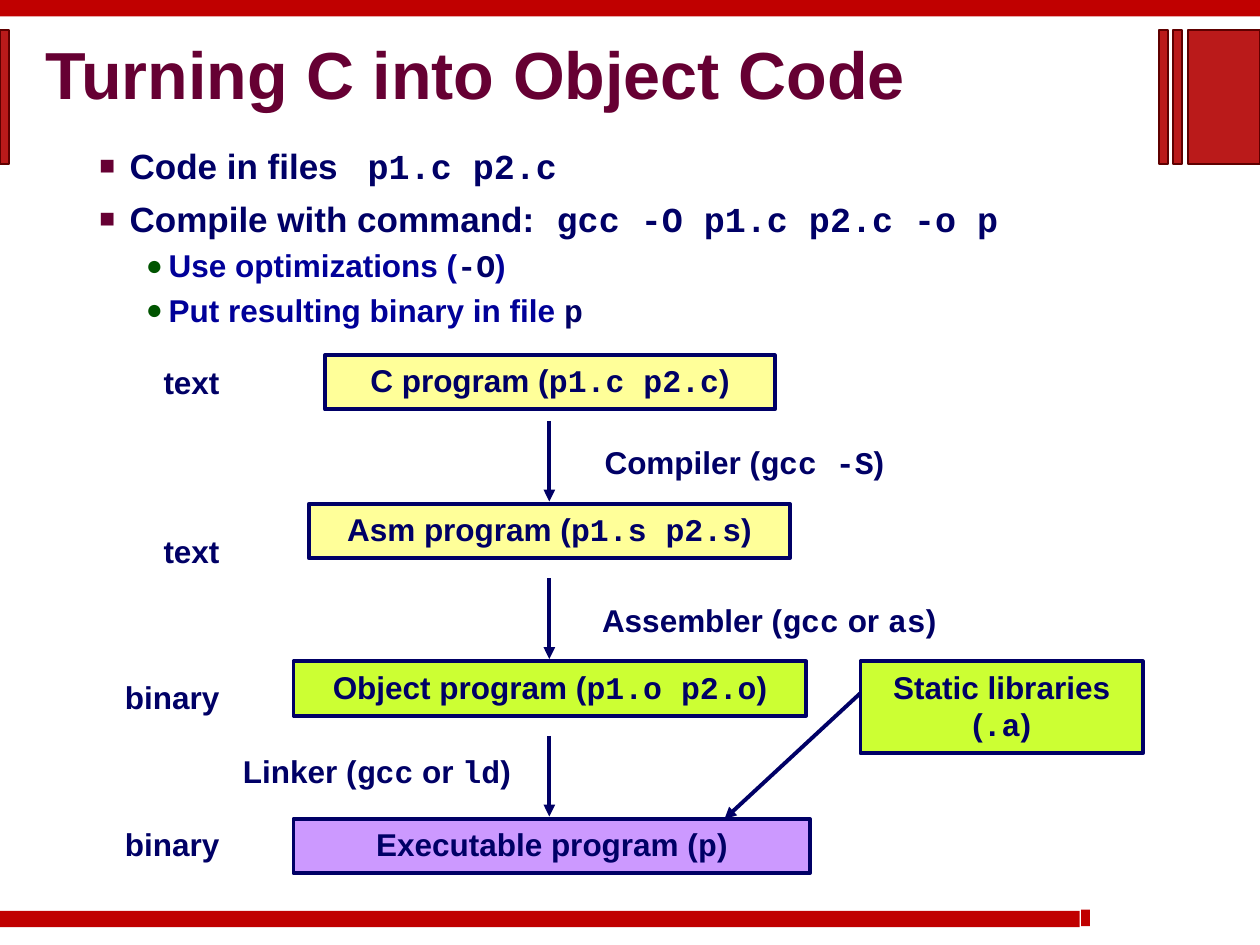
"""Build the slide that shows how C source becomes object code."""
from dataclasses import dataclass
from typing import Optional

from lxml.etree import SubElement
from pptx import Presentation
from pptx.dml.color import RGBColor
from pptx.enum.shapes import MSO_CONNECTOR, MSO_SHAPE
from pptx.enum.text import MSO_ANCHOR, MSO_AUTO_SIZE, PP_ALIGN
from pptx.oxml import parse_xml
from pptx.oxml.ns import qn
from pptx.util import Inches, Pt

COLORS = {
    "navy": "000066", "blue": "000099", "maroon": "660033", "green": "005400",
    "yellow": "FFFF99", "lime": "CCFF33", "violet": "CC99FF",
    "bar": "C00000", "block": "BA1A1A", "edge": "5F0000", "shadow": "808080",
}
FONTS = ("Arial", "Courier New")
DRAWING = 'xmlns:a="http://schemas.openxmlformats.org/drawingml/2006/main"'
TAB_STOPS = (2.5, 3.88)
ARROW_X, ARROW_LENGTH = 4.36, 0.64


@dataclass
class Box:
    """A rectangle in inches whose pieces alternate between prose and code."""
    left: float
    top: float
    width: float
    height: float
    fill: str = ""
    pieces: tuple = ()
    line: Optional[str] = None
    line_width: float = 2.25
    alignment: PP_ALIGN = PP_ALIGN.CENTER


@dataclass
class Level:
    """The look of one outline level."""
    bullet: str
    bullet_color: str
    bullet_percent: int
    margin: float
    indent: float
    size: int
    color: str
    space_before: float
    line_spacing: float


TOPIC = Level("■", "maroon", 75, 0.61, -0.24, 20, "navy", 6, 1.0)
DETAIL = Level("●", "green", 90, 0.92, -0.18, 18, "blue", 2.5, 1.07)
OUTLINE = (
    (TOPIC, ("Code in files \t", "p1.c p2.c")),
    (TOPIC, ("Compile with command: \t", "gcc -O p1.c p2.c -o p")),
    (DETAIL, ("Use optimizations (", "-O", ")")),
    (DETAIL, ("Put resulting binary in file ", "p")),
)
STAGES = (
    Box(2.58, 2.82, 3.57, 0.43, "yellow", ("C program (", "p1.c p2.c", ")"), "navy"),
    Box(2.45, 4, 3.82, 0.43, "yellow", ("Asm program (", "p1.s p2.s", ")"), "navy"),
    Box(2.33, 5.25, 4.07, 0.43, "lime", ("Object program (", "p1.o p2.o", ")"), "navy"),
    Box(2.33, 6.5, 4.1, 0.43, "violet", ("Executable program (", "p", ")"), "navy"),
    Box(6.83, 5.25, 2.24, 0.73, "lime", ("Static libraries (", ".a", ")"), "navy"),
)
TOOLS = (
    Box(4.7, 3.47, 2.74, 0.4, "", ("Compiler (", "gcc -S", ")"), alignment=PP_ALIGN.LEFT),
    Box(4.68, 4.72, 3.33, 0.4, "", ("Assembler (", "gcc", " or ", "as", ")"),
        alignment=PP_ALIGN.LEFT),
    Box(1.83, 5.92, 2.89, 0.4, "", ("Linker (", "gcc", " or ", "ld", ")"),
        alignment=PP_ALIGN.LEFT),
)
FORMATS = tuple(
    Box(0.75, top, 1.09, 0.4, "", (name,), alignment=PP_ALIGN.RIGHT)
    for name, top in (("text", 2.83), ("text", 4.17), ("binary", 5.33), ("binary", 6.5))
)
BARS = (
    Box(0, 0, 10, 0.13, "bar"),
    Box(0, 7.23, 8.57, 0.13, "bar"),
    Box(8.58, 7.22, 0.07, 0.13, "bar"),
)
BLOCKS = tuple(
    Box(left, 0.24, width, 1.06, "block", line="edge", line_width=1)
    for left, width in ((0, 0.07), (9.2, 0.07), (9.31, 0.07), (9.43, 0.57))
)


def rgb(name: str) -> RGBColor:
    """Look up a colour."""
    return RGBColor.from_string(COLORS[name])


def apply_format(target: object, values: dict) -> None:
    """Set each named attribute on the target."""
    for name, value in values.items():
        setattr(target, name, value)


def place(box: Box) -> tuple:
    """Return the position and size of a box as lengths."""
    return tuple(Inches(n) for n in (box.left, box.top, box.width, box.height))


def write_runs(paragraph, pieces: tuple, size: int, color: str, code_color: str) -> None:
    """Write pieces in turn as prose and code."""
    for index, piece in enumerate(pieces):
        run = paragraph.add_run()
        run.text = piece
        is_code = index % 2
        apply_format(run.font, {"name": FONTS[is_code], "size": Pt(size), "bold": True})
        run.font.color.rgb = rgb(code_color if is_code else color)


def draw_box(slide, box: Box) -> None:
    """Draw a filled rectangle or a plain label."""
    if box.fill:
        shape = slide.shapes.add_shape(MSO_SHAPE.RECTANGLE, *place(box))
        shape.shadow.inherit = False
        shape.fill.solid()
        shape.fill.fore_color.rgb = rgb(box.fill)
        if box.line:
            shape.line.color.rgb = rgb(box.line)
            shape.line.width = Pt(box.line_width)
        else:
            shape.line.fill.background()
    else:
        shape = slide.shapes.add_textbox(*place(box))
    if box.pieces:
        apply_format(shape.text_frame, {"word_wrap": True, "vertical_anchor": MSO_ANCHOR.TOP,
                                        "auto_size": MSO_AUTO_SIZE.SHAPE_TO_FIT_TEXT})
        paragraph = shape.text_frame.paragraphs[0]
        paragraph.alignment = box.alignment
        write_runs(paragraph, box.pieces, 18, "navy", "navy")


def draw_arrow(slide, start: tuple, end: tuple) -> None:
    """Draw a straight arrow between two points in inches."""
    arrow = slide.shapes.add_connector(
        MSO_CONNECTOR.STRAIGHT, *(Inches(n) for n in start + end))
    arrow.line.color.rgb = rgb("navy")
    arrow.line.width = Pt(2.25)
    properties = arrow.line._get_or_add_ln()
    SubElement(properties, qn("a:tailEnd"), type="triangle")
    SubElement(properties.getparent(), qn("a:effectLst"))


def write_title(slide) -> None:
    """Place the title and give its text a grey shadow."""
    title = slide.shapes.title
    apply_format(title, dict(zip(("left", "top", "width", "height"),
                                 place(Box(0.36, 0.31, 6.89, 0.63)))))
    margins = dict.fromkeys(("margin_left", "margin_top", "margin_right", "margin_bottom"), 0)
    apply_format(title.text_frame, {**margins, "vertical_anchor": MSO_ANCHOR.MIDDLE,
                                    "word_wrap": True, "auto_size": MSO_AUTO_SIZE.NONE})
    paragraph = title.text_frame.paragraphs[0]
    apply_format(paragraph, {"alignment": PP_ALIGN.LEFT, "line_spacing": 0.87})
    write_runs(paragraph, ("Turning C into Object Code",), 38, "maroon", "maroon")
    fill = paragraph.runs[0].font._element.find(qn("a:solidFill"))
    fill.addnext(parse_xml(
        f'<a:effectLst {DRAWING}><a:outerShdw dist="38100" dir="2700000">'
        f'<a:srgbClr val="{COLORS["shadow"]}"/></a:outerShdw></a:effectLst>'))


def write_outline(slide) -> None:
    """Write the bulleted outline."""
    frame = slide.shapes.add_textbox(*place(Box(0.32, 1.1, 9.09, 1.6))).text_frame
    frame.word_wrap = True
    for index, (level, pieces) in enumerate(OUTLINE):
        paragraph = frame.add_paragraph() if index else frame.paragraphs[0]
        properties = paragraph._p.get_or_add_pPr()
        properties.set("marL", str(Inches(level.margin)))
        properties.set("indent", str(Inches(level.indent)))
        color = SubElement(properties, qn("a:buClr"))
        SubElement(color, qn("a:srgbClr"), val=COLORS[level.bullet_color])
        SubElement(properties, qn("a:buSzPct"), val=str(level.bullet_percent * 1000))
        SubElement(properties, qn("a:buFont"), typeface=FONTS[0])
        SubElement(properties, qn("a:buChar"), char=level.bullet)
        tabs = SubElement(properties, qn("a:tabLst"))
        for stop in TAB_STOPS:
            SubElement(tabs, qn("a:tab"), pos=str(Inches(stop)), algn="l")
        apply_format(paragraph, {"line_spacing": level.line_spacing,
                                 "space_before": Pt(level.space_before if index else 0)})
        write_runs(paragraph, pieces, level.size, level.color, "navy")


def main() -> None:
    """Assemble and save the slide."""
    presentation = Presentation()
    apply_format(presentation, {"slide_width": Inches(10), "slide_height": Inches(7.5)})
    slide = presentation.slides.add_slide(presentation.slide_layouts[5])
    for box in FORMATS + TOOLS + STAGES + BARS + BLOCKS:
        draw_box(slide, box)
    for top in (3.34, 4.59, 5.84):
        draw_arrow(slide, (ARROW_X, top), (ARROW_X, top + ARROW_LENGTH))
    draw_arrow(slide, (6.83, 5.5), (5.75, 6.5))
    write_title(slide)
    write_outline(slide)
    presentation.save("out.pptx")


if __name__ == "__main__":
    main()
